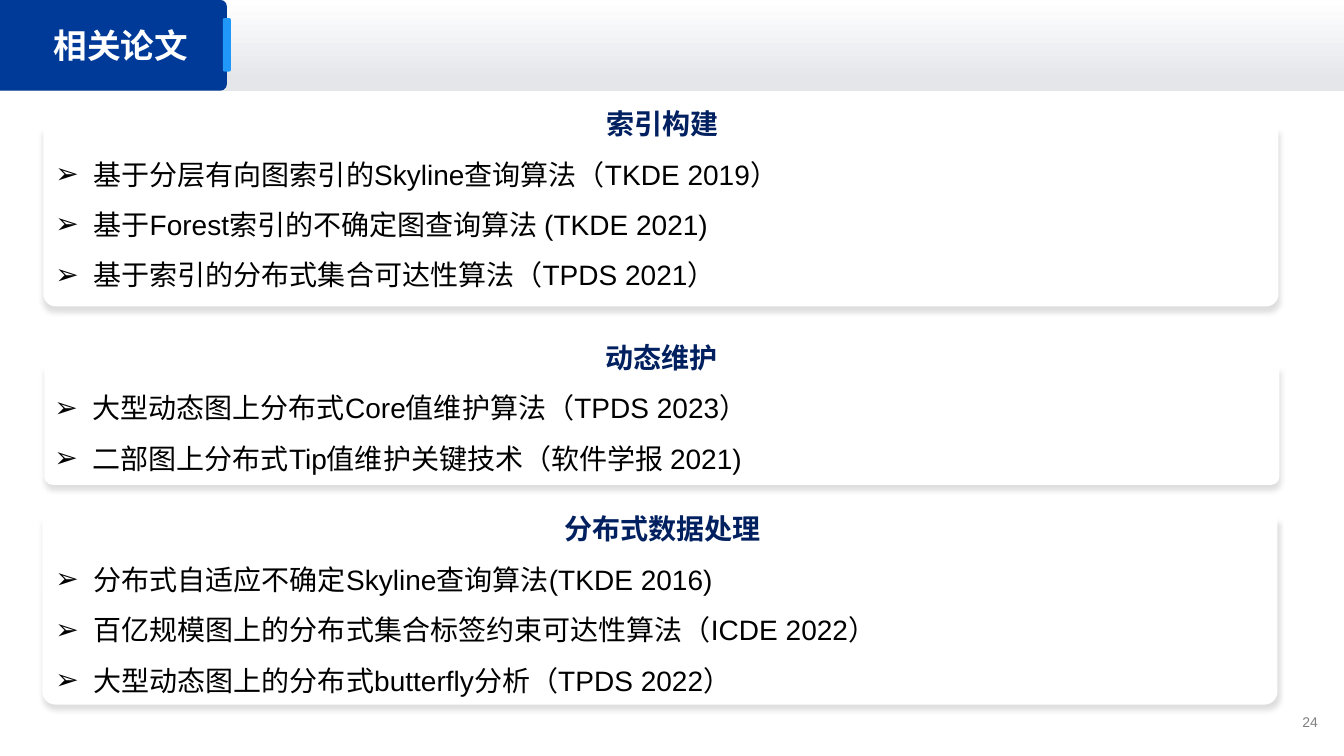
from lxml import etree
from pptx import Presentation
from pptx.dml.color import RGBColor
from pptx.enum.shapes import MSO_SHAPE
from pptx.enum.text import MSO_ANCHOR, PP_ALIGN
from pptx.oxml.ns import qn
from pptx.util import Inches, Pt

RECTANGLE = MSO_SHAPE.RECTANGLE
ROUNDED = MSO_SHAPE.ROUNDED_RECTANGLE
ROUNDED_TOP = MSO_SHAPE.ROUND_2_SAME_RECTANGLE
LEFT, CENTER, RIGHT = PP_ALIGN.LEFT, PP_ALIGN.CENTER, PP_ALIGN.RIGHT
TOP, MIDDLE = MSO_ANCHOR.TOP, MSO_ANCHOR.MIDDLE

FONT = "Arial"
WIDTH, HEIGHT = 13.33, 7.5
HEADER_HEIGHT = 0.9
TAB_WIDTH = 2.25
CARD_WIDTH = 12.25
TEXT_WIDTH, TEXT_HEIGHT = 12.24, 1.17
BULLET_INDENT = 0.38

# heading, card (left, top, height), text (left, top), papers
SECTIONS = [
    ("索引构建", (0.43, 1.27, 1.77), (0.45, 1.01), [
        "基于分层有向图索引的Skyline查询算法（TKDE 2019）",
        "基于Forest索引的不确定图查询算法 (TKDE 2021)",
        "基于索引的分布式集合可达性算法（TPDS 2021）",
    ]),
    ("动态维护", (0.44, 3.64, 1.17), (0.44, 3.33), [
        "大型动态图上分布式Core值维护算法（TPDS 2023）",
        "二部图上分布式Tip值维护关键技术（软件学报 2021)",
    ]),
    ("分布式数据处理", (0.42, 5.14, 1.85), (0.45, 5.03), [
        "分布式自适应不确定Skyline查询算法(TKDE 2016)",
        "百亿规模图上的分布式集合标签约束可达性算法（ICDE 2022）",
        "大型动态图上的分布式butterfly分析（TPDS 2022）",
    ]),
]


def color(hex_string):
    return RGBColor.from_string(hex_string)


def place(shape, left, top, width, height):
    shape.left, shape.top = Inches(left), Inches(top)
    shape.width, shape.height = Inches(width), Inches(height)


def add_block(slide, kind, box, fill, adjustments=()):
    shape = slide.shapes.add_shape(kind, *map(Inches, box))
    shape.shadow.inherit = False
    shape.line.fill.background()
    shape.fill.solid()
    shape.fill.fore_color.rgb = color(fill)
    for index, value in enumerate(adjustments):
        shape.adjustments[index] = value
    return shape


def add_soft_shadow(shape):
    effects = shape.element.spPr.find(qn("a:effectLst"))
    shadow = etree.SubElement(
        effects, qn("a:outerShdw"), blurRad=str(Pt(4)), dist=str(Pt(3)),
        dir="5400000", algn="t", rotWithShape="0")
    black = etree.SubElement(shadow, qn("a:srgbClr"), val="000000")
    etree.SubElement(black, qn("a:alpha"), val="12000")


def write(paragraph, text, size, text_color, bold=False, align=LEFT):
    paragraph.alignment = align
    run = paragraph.add_run()
    run.text = text
    run.font.name = FONT
    run.font.size = Pt(size)
    run.font.bold = bold
    run.font.color.rgb = color(text_color)


def make_bullet(paragraph):
    paragraph.line_spacing = 1.5
    properties = paragraph._p.get_or_add_pPr()
    properties.set("marL", str(Inches(BULLET_INDENT)))
    properties.set("indent", str(-Inches(BULLET_INDENT)))
    etree.SubElement(properties, qn("a:buFont"), typeface=FONT)
    etree.SubElement(properties, qn("a:buChar"), char="➢")


def add_text_frame(slide, box, anchor=TOP):
    frame = slide.shapes.add_textbox(*map(Inches, box)).text_frame
    frame.word_wrap = True
    frame.vertical_anchor = anchor
    return frame


def add_header(slide, title_text):
    bar = add_block(slide, RECTANGLE, (0, 0, WIDTH, HEADER_HEIGHT), "FFFFFF")
    bar.fill.gradient()
    bar.fill.gradient_angle = 270
    for stop, position, shade in zip(
            bar.fill.gradient_stops, (0, 0.89), ("FFFFFF", "E4E6EA")):
        stop.position = position
        stop.color.rgb = color(shade)

    # The tab is drawn upright and turned, so its rounded end faces right.
    offset = (TAB_WIDTH - HEADER_HEIGHT) / 2
    tab = add_block(slide, ROUNDED_TOP,
                    (offset, -offset, HEADER_HEIGHT, TAB_WIDTH),
                    "003A98", (0.07, 0))
    tab.rotation = 90

    title = slide.shapes.title
    place(title, 0.43, 0.2, 3.59, 0.5)
    title.text_frame.vertical_anchor = TOP
    write(title.text_frame.paragraphs[0], title_text, 24, "FFFFFF", True)
    tab.element.addnext(title.element)

    add_block(slide, ROUNDED, (2.21, 0.18, 0.08, 0.53), "1F98F9", (0.21,))


def add_section(slide, heading, card_box, text_corner, papers):
    left, top, height = card_box
    card = add_block(slide, ROUNDED_TOP, (left, top, CARD_WIDTH, height),
                     "FFFFFF", (0, 0.07))
    add_soft_shadow(card)
    frame = add_text_frame(slide, (*text_corner, TEXT_WIDTH, TEXT_HEIGHT))
    write(frame.paragraphs[0], heading, 20, "002060", True, CENTER)
    for paper in papers:
        paragraph = frame.add_paragraph()
        make_bullet(paragraph)
        write(paragraph, paper, 20, "000000")


def add_page_number(slide, number):
    frame = add_text_frame(slide, (10.26, 7.04, 2.91, 0.24), MIDDLE)
    write(frame.paragraphs[0], number, 10, "808080", align=RIGHT)


def main():
    presentation = Presentation()
    presentation.slide_width = Inches(WIDTH)
    presentation.slide_height = Inches(HEIGHT)
    slide = presentation.slides.add_slide(presentation.slide_layouts[5])
    add_header(slide, "相关论文")
    for section in SECTIONS:
        add_section(slide, *section)
    add_page_number(slide, "24")
    presentation.save("out.pptx")


if __name__ == "__main__":
    main()
